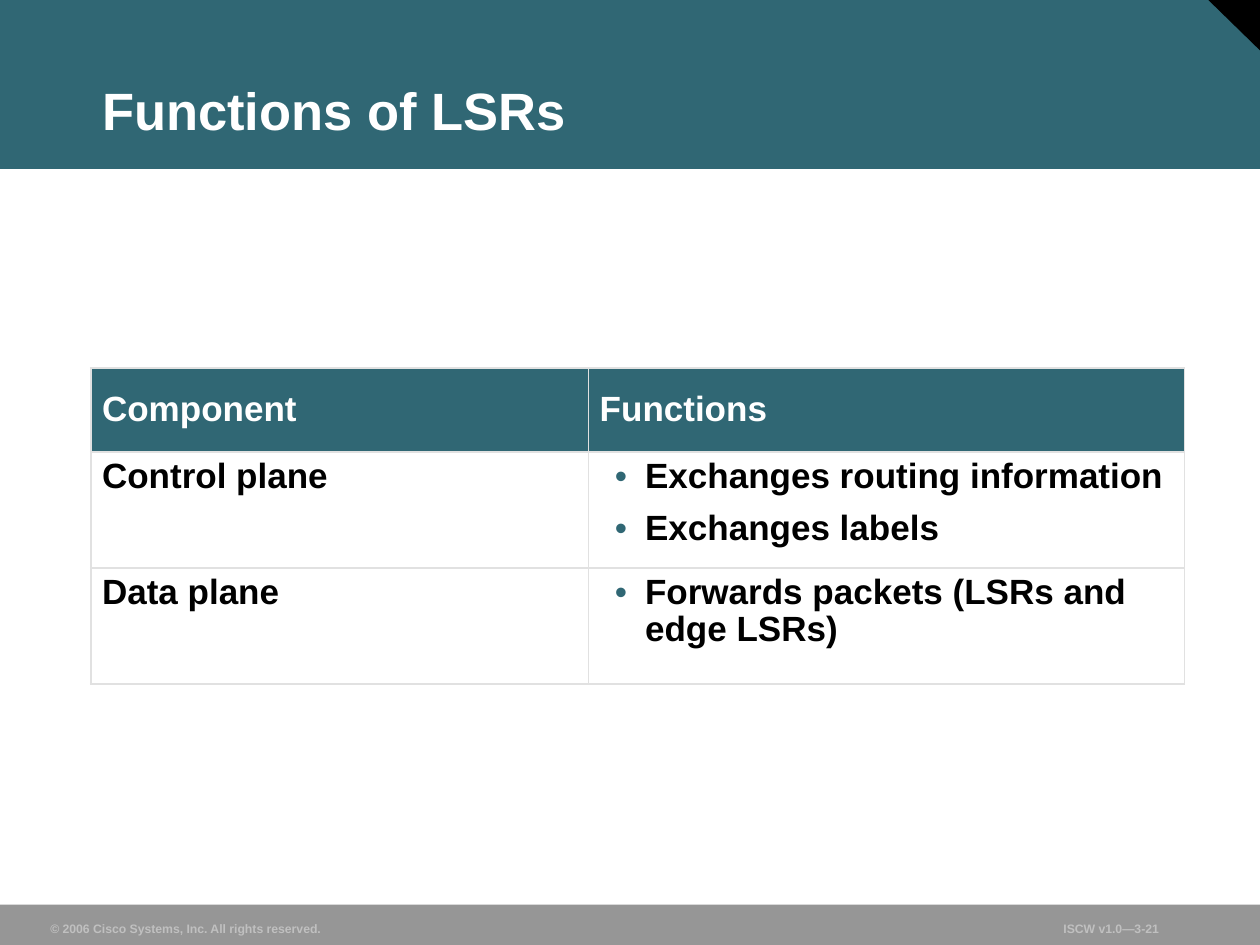
from dataclasses import dataclass

from lxml import etree
from pptx import Presentation
from pptx import util as u
from pptx.dml.color import RGBColor
from pptx.enum import shapes, text
from pptx.oxml.ns import qn

PX = 9144  # EMU per px, 100 px to the inch
FONT = "Arial"
TEAL, WHITE, BLACK = "306774", "FFFFFF", "000000"
GRAY, SILVER, BORDER = "969696", "C0C0C0", "E1E1E1"


def px(length: int) -> u.Emu:
    return u.Emu(length * PX)


def color(value: str) -> RGBColor:
    return RGBColor.from_string(value)


@dataclass
class Block:
    kind: shapes.MSO_SHAPE
    left: int
    top: int
    width: int
    height: int
    fill: str
    rotation: int = 0


@dataclass
class Footer:
    words: str
    left: int
    width: int


@dataclass
class Cell:
    lines: list[str]
    bullets: bool = False
    header: bool = False


BLOCKS = [
    Block(shapes.MSO_SHAPE.RECTANGLE, 0, 0, 1000, 134, TEAL),
    Block(shapes.MSO_SHAPE.RIGHT_TRIANGLE, 958, -1, 42, 41, BLACK, 180),
    Block(shapes.MSO_SHAPE.RECTANGLE, 0, 718, 1000, 33, GRAY),
]
FOOTERS = [
    Footer("© 2006 Cisco Systems, Inc. All rights reserved.", 31, 233),
    Footer("ISCW v1.0—3-21", 835, 130),
]
COLUMNS = [395, 473]
ROWS = [67, 92, 92]
CELLS = [
    [Cell(["Component"], header=True), Cell(["Functions"], header=True)],
    [Cell(["Control plane"]),
     Cell(["Exchanges routing information", "Exchanges labels"], bullets=True)],
    [Cell(["Data plane"]),
     Cell(["Forwards packets (LSRs and edge LSRs)"], bullets=True)],
]


def write(para, words: str, *, size: int, ink: str, spacing: float = 1.0,
          before: float = 0) -> None:
    para.alignment = text.PP_ALIGN.LEFT
    para.line_spacing = spacing
    para.space_before = u.Pt(before)
    span = para.add_run()
    span.text = words
    span.font.name = FONT
    span.font.size = u.Pt(size)
    span.font.bold = True
    span.font.color.rgb = color(ink)


def set_frame(frame, *, wrap: bool) -> None:
    frame.word_wrap = wrap
    frame.auto_size = text.MSO_AUTO_SIZE.NONE
    frame.vertical_anchor = text.MSO_ANCHOR.BOTTOM
    frame.margin_left = frame.margin_right = px(9)
    frame.margin_top = frame.margin_bottom = px(4)


def add_block(page, block: Block) -> None:
    shape = page.shapes.add_shape(block.kind, px(block.left), px(block.top),
                                  px(block.width), px(block.height))
    shape.rotation = block.rotation
    shape.shadow.inherit = False
    shape.fill.solid()
    shape.fill.fore_color.rgb = color(block.fill)
    shape.line.fill.background()


def add_footer(page, footer: Footer) -> None:
    box = page.shapes.add_textbox(px(footer.left), px(726), px(footer.width), px(21))
    set_frame(box.text_frame, wrap=False)
    write(box.text_frame.paragraphs[0], footer.words, size=7, ink=SILVER)


def set_title(page, words: str) -> None:
    title = page.shapes.title
    title.left, title.top, title.width, title.height = map(px, (72, 25, 891, 92))
    set_frame(title.text_frame, wrap=True)
    write(title.text_frame.paragraphs[0], words, size=30, ink=WHITE, spacing=0.9)
    # Bring the title in front of the band
    title.element.getparent().append(title.element)


def add_bullet(para) -> None:
    props = para._p.get_or_add_pPr()
    props.set("marL", str(px(36)))
    props.set("indent", str(px(-24)))
    tint = etree.SubElement(props, qn("a:buClr"))
    etree.SubElement(tint, qn("a:srgbClr"), val=TEAL)
    etree.SubElement(props, qn("a:buFont"), typeface=FONT)
    etree.SubElement(props, qn("a:buChar"), char="•")


def add_borders(cell) -> None:
    props = cell._tc.get_or_add_tcPr()
    for side in ("lnL", "lnR", "lnT", "lnB"):
        line = etree.SubElement(props, qn(f"a:{side}"), w=str(u.Pt(1.08)))
        fill = etree.SubElement(line, qn("a:solidFill"))
        etree.SubElement(fill, qn("a:srgbClr"), val=BORDER)


def fill_cell(cell, content: Cell) -> None:
    add_borders(cell)
    cell.fill.solid()
    cell.fill.fore_color.rgb = color(TEAL if content.header else WHITE)
    cell.vertical_anchor = (text.MSO_ANCHOR.MIDDLE if content.header
                            else text.MSO_ANCHOR.TOP)
    cell.margin_left = cell.margin_right = px(9)
    cell.margin_top = cell.margin_bottom = px(5)
    for index, words in enumerate(content.lines):
        frame = cell.text_frame
        para = frame.add_paragraph() if index else frame.paragraphs[0]
        if content.bullets:
            add_bullet(para)
        write(para, words, size=20, ink=WHITE if content.header else BLACK,
              spacing=0.95, before=8.8 if index else 0)


def add_functions_table(page) -> None:
    table = page.shapes.add_table(len(ROWS), len(COLUMNS), px(72), px(292),
                                  px(sum(COLUMNS)), px(sum(ROWS))).table
    for column, width in zip(table.columns, COLUMNS):
        column.width = px(width)
    for row, height, contents in zip(table.rows, ROWS, CELLS):
        row.height = px(height)
        for cell, content in zip(row.cells, contents):
            fill_cell(cell, content)


def main() -> None:
    deck = Presentation()
    deck.slide_width, deck.slide_height = px(1000), px(750)
    page = deck.slides.add_slide(deck.slide_layouts[5])
    # Band, corner and footer
    for block in BLOCKS:
        add_block(page, block)
    for footer in FOOTERS:
        add_footer(page, footer)
    # Title and table
    set_title(page, "Functions of LSRs")
    add_functions_table(page)
    deck.save("out.pptx")


if __name__ == "__main__":
    main()
